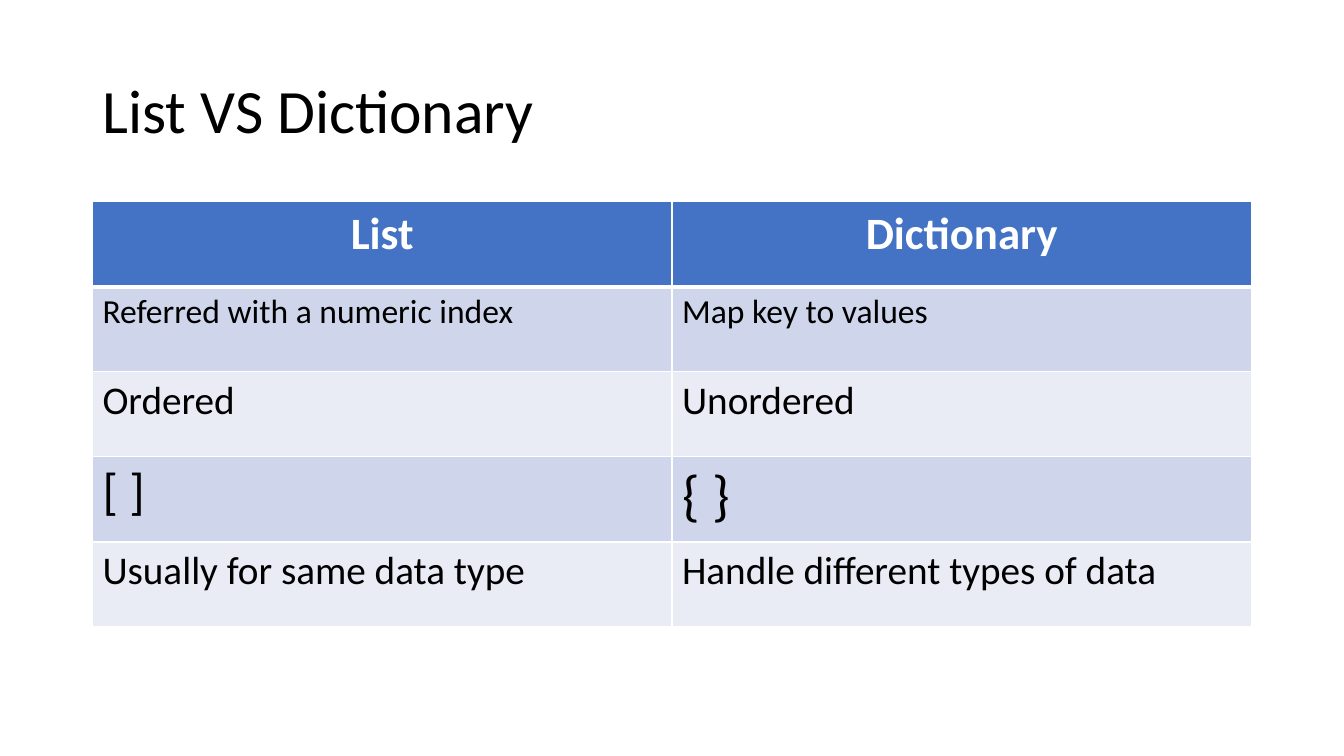
from dataclasses import dataclass

from lxml.etree import SubElement
from pptx import Presentation
from pptx.dml.color import RGBColor
from pptx.enum.text import MSO_ANCHOR, PP_ALIGN
from pptx.oxml.ns import qn
from pptx.util import Cm, Pt


@dataclass
class Theme:
    font: str = "Calibri"
    text: str = "000000"
    white: str = "FFFFFF"
    header: str = "4472C4"
    bands: tuple = ("CFD5EA", "E9EBF5")
    title_size: int = 44
    header_size: int = 32


theme = Theme()


def write(tf, text, size, color=theme.text, bold=False, align=PP_ALIGN.LEFT, spacing=1.0):
    p = tf.paragraphs[0]
    p.alignment = align
    p.line_spacing = spacing
    r = p.add_run()
    r.text = text
    r.font.name = theme.font
    r.font.size = Pt(size)
    r.font.bold = bold
    r.font.color.rgb = RGBColor.from_string(color)


def set_border(cell, side, width):
    tc_pr = cell._tc.get_or_add_tcPr()
    ln = SubElement(tc_pr, qn(f"a:ln{side}"), w=str(Pt(width)))
    fill = SubElement(ln, qn("a:solidFill"))
    SubElement(fill, qn("a:srgbClr"), val=theme.white)


prs = Presentation()
prs.slide_width, prs.slide_height = Cm(33.87), Cm(19.05)
s = prs.slides.add_slide(prs.slide_layouts[5])
left, width = Cm(2.33), Cm(29.21)

# Title
title = s.shapes.title
title.left, title.top, title.width, title.height = left, Cm(1.01), width, Cm(3.68)
title.text_frame.vertical_anchor = MSO_ANCHOR.MIDDLE
write(title.text_frame, "List VS Dictionary", theme.title_size, spacing=0.9)

# Comparison rows: text and size for each column
headings = ("List", "Dictionary")
comparisons = [
    (("Referred with a numeric index", 24), ("Map key to values", 24)),
    (("Ordered", 28), ("Unordered", 28)),
    (("[ ]", 36), ("{ }", 40)),
    (("Usually for same data type", 28), ("Handle different types of data", 28)),
]
rows = [[(h, theme.header_size) for h in headings]] + comparisons

# Table
table = s.shapes.add_table(len(rows), len(headings), left, Cm(5.08), width, Cm(10.72)).table
for i, row in enumerate(rows):
    is_header = i == 0
    for j, (text, size) in enumerate(row):
        cell = table.cell(i, j)
        for side in "LRTB":
            under_header = (i, side) in ((0, "B"), (1, "T"))
            set_border(cell, side, 3 if under_header else 1)
        cell.fill.solid()
        fill = theme.header if is_header else theme.bands[(i - 1) % 2]
        cell.fill.fore_color.rgb = RGBColor.from_string(fill)
        write(cell.text_frame, text, size, bold=is_header,
              color=theme.white if is_header else theme.text,
              align=PP_ALIGN.CENTER if is_header else PP_ALIGN.LEFT)

prs.save("out.pptx")
